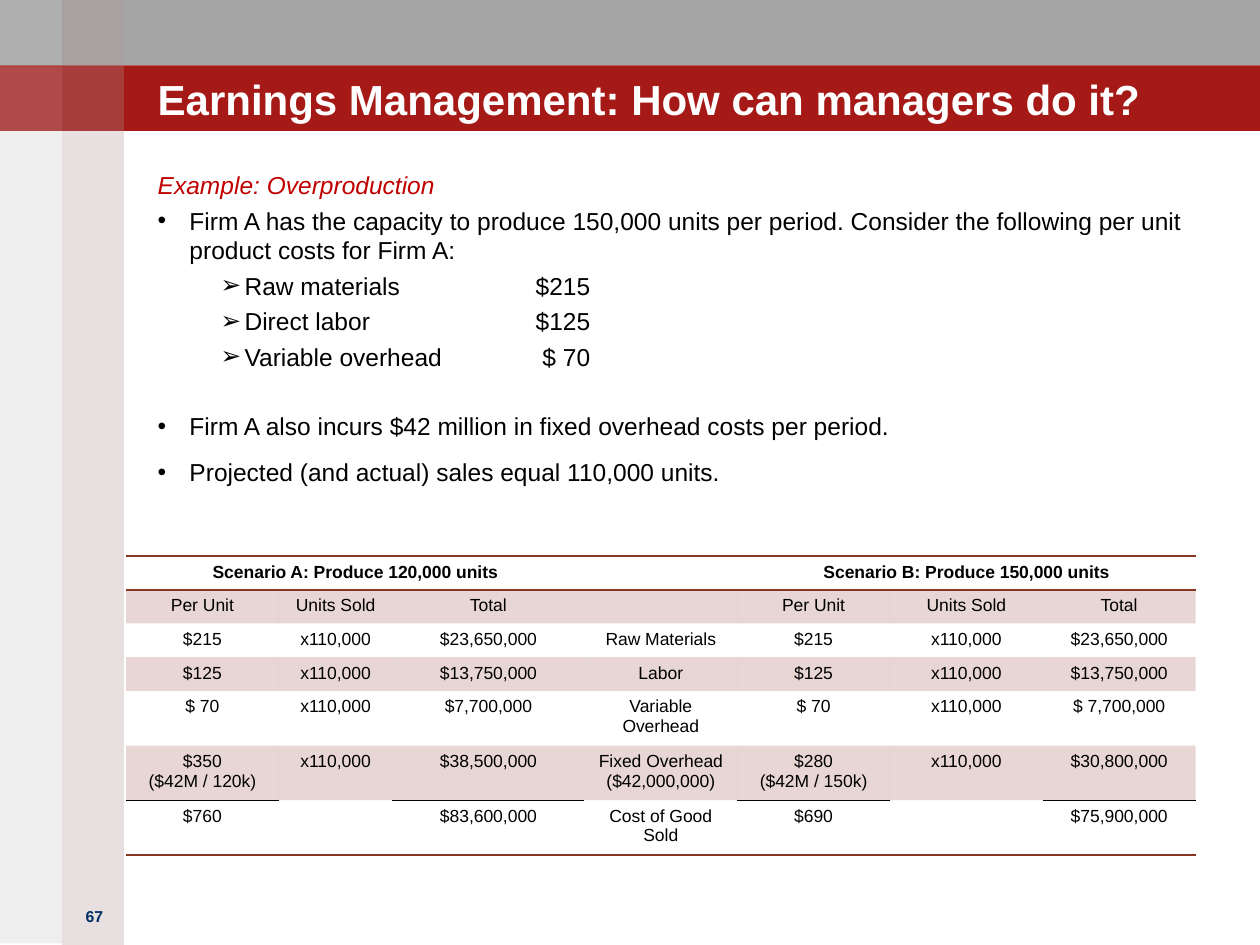
"""Builds the earnings management slide with its overproduction example."""
from pptx import Presentation
from pptx.dml.color import RGBColor
from pptx.enum.shapes import MSO_SHAPE as Shape
from pptx.enum.text import MSO_ANCHOR as Anchor, MSO_AUTO_SIZE as AutoSize, PP_ALIGN as Align
from pptx.oxml import parse_xml
from pptx.oxml.ns import nsdecls, qn
from pptx.util import Cm, Pt

BLACK = RGBColor(0x00, 0x00, 0x00)
WHITE = RGBColor(0xFF, 0xFF, 0xFF)
GREY = RGBColor(0xA6, 0xA6, 0xA6)
RED = RGBColor(0xA5, 0x1A, 0x17)
ROSE = RGBColor(0xA0, 0x82, 0x84)
STONE = RGBColor(0x93, 0x8F, 0x8F)
NAVY = RGBColor(0x00, 0x2E, 0x62)
CRIMSON = RGBColor(0xC0, 0x00, 0x00)
BROWN = RGBColor(0x87, 0x36, 0x24)


def set_fill(target, holder, color, percent):
    target.fill.solid()
    target.fill.fore_color.rgb = color
    if percent < 100:
        tint = holder.find(qn("a:solidFill")).find(qn("a:srgbClr"))
        tint.append(parse_xml(f'<a:alpha {nsdecls("a")} val="{percent * 1000}"/>'))


def set_font(para, size, color, bold=False, italic=False):
    font = para.font
    font.name, font.size = "Arial", Pt(size)
    font.bold, font.italic = bold, italic
    font.color.rgb = color


deck = Presentation()
deck.slide_width, deck.slide_height = Cm(25.4), Cm(19.05)
page = deck.slides.add_slide(deck.slide_layouts[1])
title, body = page.placeholders

bands = [
    (0, 0, 25.4, 1.32, GREY, 100),
    (0, 1.32, 25.4, 1.32, RED, 100),
    (1.25, 0, 1.25, 19.05, ROSE, 25),
    (0, 0, 1.25, 19.02, STONE, 15),
]
for top in (0, 1.34):
    bands += [(1.25, top, 1.25, 1.31, WHITE, 5), (0, top, 1.25, 1.31, WHITE, 15)]
for left, top, width, height, color, percent in bands:
    band = page.shapes.add_shape(Shape.RECTANGLE, Cm(left), Cm(top), Cm(width), Cm(height))
    band.shadow.inherit = False
    band.line.fill.background()
    set_fill(band, band.element.spPr, color, percent)

tree = title.element.getparent()
for holder, top, width, height in ((title, 0.79, 20.12, 1.7), (body, 3.43, 20.96, 12.9)):
    tree.append(holder.element)
    holder.left, holder.top = Cm(3.18), Cm(top)
    holder.width, holder.height = Cm(width), Cm(height)
    frame = holder.text_frame
    frame.margin_left = frame.margin_top = frame.margin_right = frame.margin_bottom = 0
    frame.auto_size, frame.word_wrap = AutoSize.NONE, True

title.text_frame.text = "Earnings Management: How can managers do it?"
title.text_frame.vertical_anchor = Anchor.BOTTOM
title.text_frame.paragraphs[0].alignment = Align.LEFT
set_font(title.text_frame.paragraphs[0], 24, WHITE, bold=True)

items = [
    ("Example: Overproduction", None, 0),
    ("Firm A has the capacity to produce 150,000 units per period. "
     "Consider the following per unit product costs for Firm A:", "•", 3.5),
    ("Raw materials\t$215", "➢", 3.5),
    ("Direct labor\t$125", "➢", 3.5),
    ("Variable overhead\t$ 70", "➢", 3.5),
    ("Firm A also incurs $42 million in fixed overhead costs per period.", "•", 23),
    ("Projected (and actual) sales equal 110,000 units.", "•", 9.5),
]
indents = {None: (0, 0), "•": (0.64, -0.64), "➢": (1.75, -0.48)}
body.text_frame.text = "\n".join(text for text, mark, before in items)
for para, (text, mark, before) in zip(body.text_frame.paragraphs, items):
    para.level = 1 if mark == "➢" else 0
    para.space_before = Pt(before)
    properties = para._p.get_or_add_pPr()
    margin, indent = indents[mark]
    properties.set("marL", str(Cm(margin)))
    properties.set("indent", str(Cm(indent)))
    if mark:
        properties.append(parse_xml(f'<a:buFont {nsdecls("a")} typeface="Arial"/>'))
        properties.append(parse_xml(f'<a:buChar {nsdecls("a")} char="{mark}"/>'))
    else:
        properties.append(parse_xml(f'<a:buNone {nsdecls("a")}/>'))
    if "\t" in text:
        properties.append(parse_xml(
            f'<a:tabLst {nsdecls("a")}><a:tab pos="{Cm(8.72)}" algn="r"/></a:tabLst>'))
    set_font(para, 14, BLACK if mark else CRIMSON, italic=mark is None)

number = page.shapes.add_textbox(Cm(1.27), Cm(18.16), Cm(1.27), Cm(0.89))
number.text_frame.word_wrap = True
number.text_frame.text = "67"
number.text_frame.paragraphs[0].alignment = Align.CENTER
set_font(number.text_frame.paragraphs[0], 9, NAVY, bold=True)

rows = [
    ("Scenario A: Produce 120,000 units", "", "", "", "Scenario B: Produce 150,000 units", "", ""),
    ("Per Unit", "Units Sold", "Total", "", "Per Unit", "Units Sold", "Total"),
    ("$215", "x110,000", "$23,650,000", "Raw Materials", "$215", "x110,000", "$23,650,000"),
    ("$125", "x110,000", "$13,750,000", "Labor", "$125", "x110,000", "$13,750,000"),
    ("$ 70", "x110,000", "$7,700,000", "Variable Overhead", "$ 70", "x110,000", "$ 7,700,000"),
    ("$350\v($42M / 120k)", "x110,000", "$38,500,000", "Fixed Overhead ($42,000,000)",
     "$280\n($42M / 150k)", "x110,000", "$30,800,000"),
    ("$760", "", "$83,600,000", "Cost of Good Sold", "$690", "", "$75,900,000"),
]
widths = [3.08, 2.29, 3.87, 3.08, 3.08, 3.08, 3.08]
heights = [0.65] * 4 + [1.05] * 3
table = page.shapes.add_table(
    len(rows), len(widths), Cm(2.54), Cm(11.21), Cm(sum(widths)), Cm(sum(heights))).table
table.first_row = table.horz_banding = False
table._tbl.tblPr.find(qn("a:tableStyleId")).text = "{2D5ABB26-0587-4C30-8999-92F81FD0307C}"
for column, width in zip(table.columns, widths):
    column.width = Cm(width)

for r, values in enumerate(rows):
    table.rows[r].height = Cm(heights[r])
    for c, value in enumerate(values):
        cell = table.cell(r, c)
        cell.text = value
        for para in cell.text_frame.paragraphs:
            para.alignment = Align.CENTER
            set_font(para, 10, BLACK, bold=r == 0)
        total_rule = BLACK if c % 2 == 0 else None
        top_rule = {0: BROWN, 6: total_rule}.get(r)
        bottom_rule = {0: BROWN, 5: total_rule, 6: BROWN}.get(r)
        properties = cell._tc.get_or_add_tcPr()
        for side, color in (("lnT", top_rule), ("lnB", bottom_rule)):
            if color is not None:
                properties.append(parse_xml(
                    f'<a:{side} {nsdecls("a")} w="{Pt(1)}"><a:solidFill>'
                    f'<a:srgbClr val="{color}"/></a:solidFill></a:{side}>'))
        if r % 2:
            set_fill(cell, properties, BROWN, 20)
        else:
            cell.fill.background()

for c in (0, 4):
    table.cell(0, c).merge(table.cell(0, c + 2))

deck.save("out.pptx")
